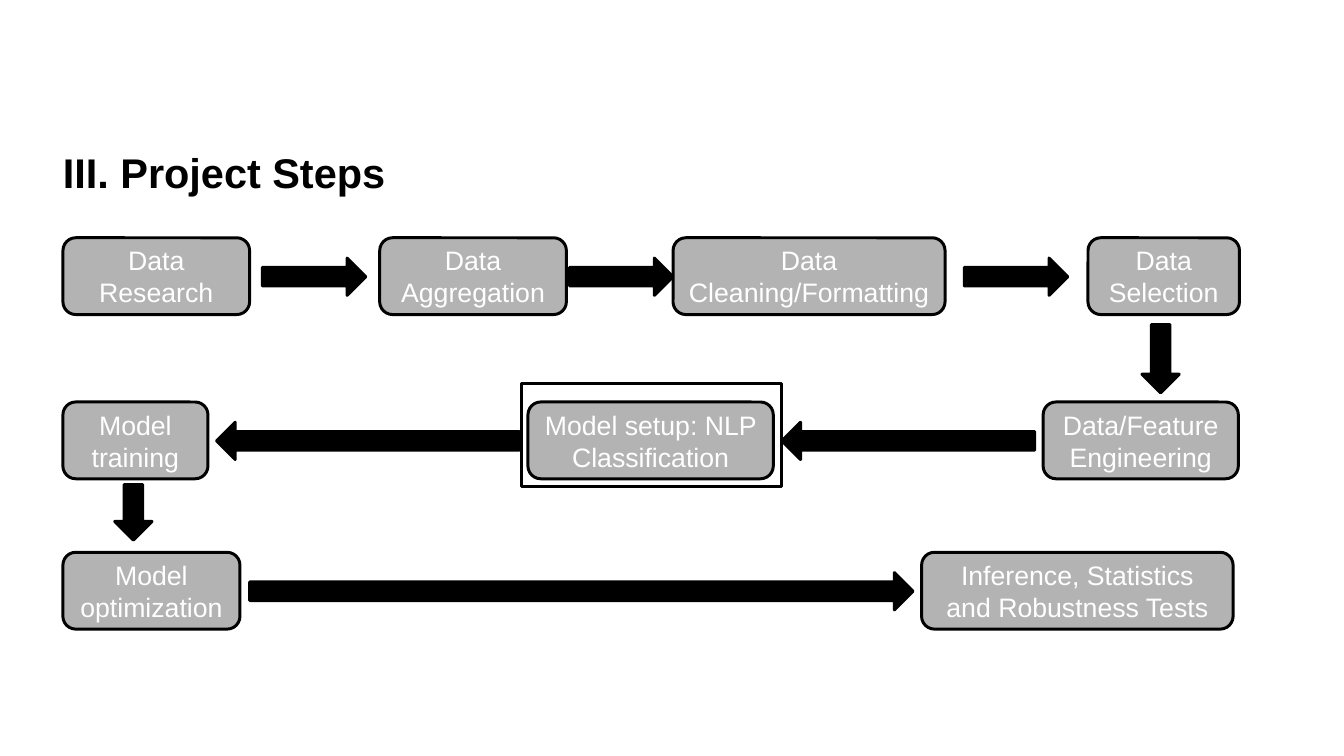
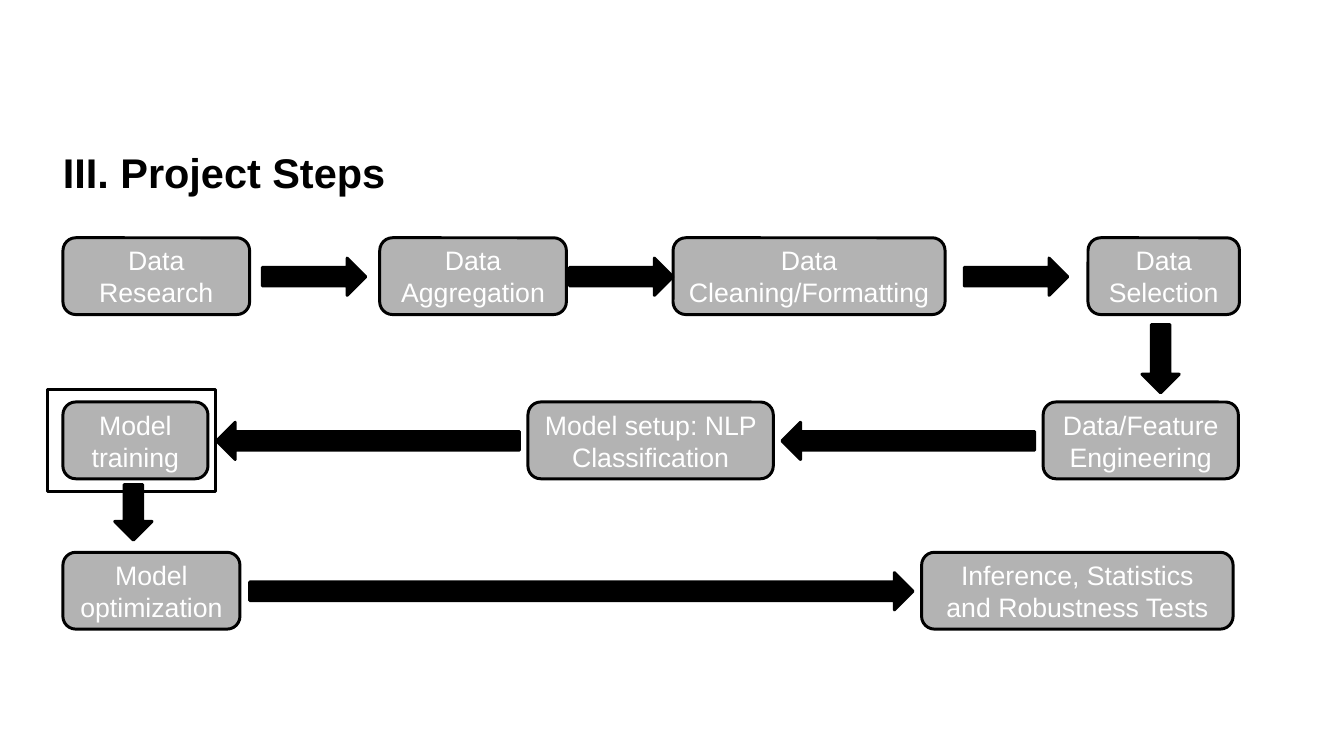
from dataclasses import dataclass

from pptx import Presentation
from pptx.dml.color import RGBColor
from pptx.enum.shapes import MSO_SHAPE
from pptx.enum.text import MSO_ANCHOR, MSO_AUTO_SIZE, PP_ALIGN
from pptx.util import Pt

ROUND, ARROW, RECT = MSO_SHAPE.ROUNDED_RECTANGLE, MSO_SHAPE.RIGHT_ARROW, MSO_SHAPE.RECTANGLE
TOP, MIDDLE = MSO_ANCHOR.TOP, MSO_ANCHOR.MIDDLE
LEFT, CENTER = PP_ALIGN.LEFT, PP_ALIGN.CENTER
NO_FIT = MSO_AUTO_SIZE.NONE

PX = 9144
TITLE_ONLY = 5
STEP_H, ARROW_H = 72, 35
EAST, SOUTH, WEST = 0, 90, 180
ROW_A, ROW_B, ROW_C = 223, 377, 518

STEPS = [
    ("Data Research", 59, ROW_A, 175),
    ("Data Aggregation", 356, ROW_A, 175),
    ("Data Cleaning/Formatting", 631, ROW_A, 255),
    ("Data Selection", 1020, ROW_A, 142),
    ("Data/Feature Engineering", 978, ROW_B, 183),
    ("Model setup: NLP Classification", 495, ROW_B, 230),
    ("Model training", 59, ROW_B, 136),
    ("Model optimization", 59, ROW_C, 166),
    ("Inference, Statistics and Robustness Tests", 864, ROW_C, 292),
]
FLOWS = [
    (246, ROW_A, 97, EAST),
    (534, ROW_A, 97, EAST),
    (904, ROW_A, 97, EAST),
    (733, ROW_B, 237, WEST),
    (203, ROW_B, 284, WEST),
    (234, ROW_C, 622, EAST),
]
DROPS = [(1056, 319, 64), (99, 463, 52)]
MARKS = [(489, 360, 244, 96), (45, 365, 157, 96)]


@dataclass(frozen=True)
class Theme:
    font: str = "Arial"
    ink: RGBColor = RGBColor(0, 0, 0)
    gray: RGBColor = RGBColor(0xB3, 0xB3, 0xB3)
    white: RGBColor = RGBColor(0xFF, 0xFF, 0xFF)
    head: int = 28
    body: int = 18
    line: int = 2


class Deck:
    def __init__(self, theme):
        self.theme = theme
        self.prs = Presentation()
        self.prs.slide_width, self.prs.slide_height = 1260 * PX, 709 * PX
        self.slide = None

    def label(self, shape, text, size, color, align, anchor, bold=False):
        frame = shape.text_frame
        frame.text = text
        frame.word_wrap = True
        frame.auto_size = NO_FIT
        frame.vertical_anchor = anchor
        for para in frame.paragraphs:
            para.alignment = align
            for run in para.runs:
                font = run.font
                font.name, font.size, font.bold = self.theme.font, Pt(size), bold
                font.color.rgb = color

    def start(self, text):
        self.slide = self.prs.slides.add_slide(self.prs.slide_layouts[TITLE_ONLY])
        title = self.slide.shapes.title
        title.left, title.top, title.width, title.height = (
            n * PX for n in (59, 138, 1102, 71))
        self.label(title, text, self.theme.head, self.theme.ink, LEFT, TOP, True)
        frame = title.text_frame
        frame.margin_left = frame.margin_right = 0
        frame.margin_top = frame.margin_bottom = 0

    def shape(self, kind, x, y, w, h, fill=None):
        item = self.slide.shapes.add_shape(kind, *(n * PX for n in (x, y, w, h)))
        item.shadow.inherit = False
        if fill is None:
            item.fill.background()
        else:
            item.fill.solid()
            item.fill.fore_color.rgb = fill
        item.line.color.rgb = self.theme.ink
        item.line.width = Pt(self.theme.line)
        return item

    def step(self, text, x, y, w):
        box = self.shape(ROUND, x, y, w, STEP_H, self.theme.gray)
        self.label(box, text, self.theme.body, self.theme.white, CENTER, MIDDLE)

    def arrow(self, x, y, size, turn):
        self.shape(ARROW, x, y, size, ARROW_H, self.theme.ink).rotation = turn

    def mark(self, x, y, w, h):
        self.shape(RECT, x, y, w, h)


def main():
    deck = Deck(Theme())
    for mark in MARKS:
        deck.start("III. Project Steps")
        for step in STEPS:
            deck.step(*step)
        for x, row, size, turn in FLOWS:
            deck.arrow(x, row + (STEP_H - ARROW_H + 1) // 2, size, turn)
        for drop in DROPS:
            deck.arrow(*drop, SOUTH)
        deck.mark(*mark)
    deck.prs.save("out.pptx")


if __name__ == "__main__":
    main()
